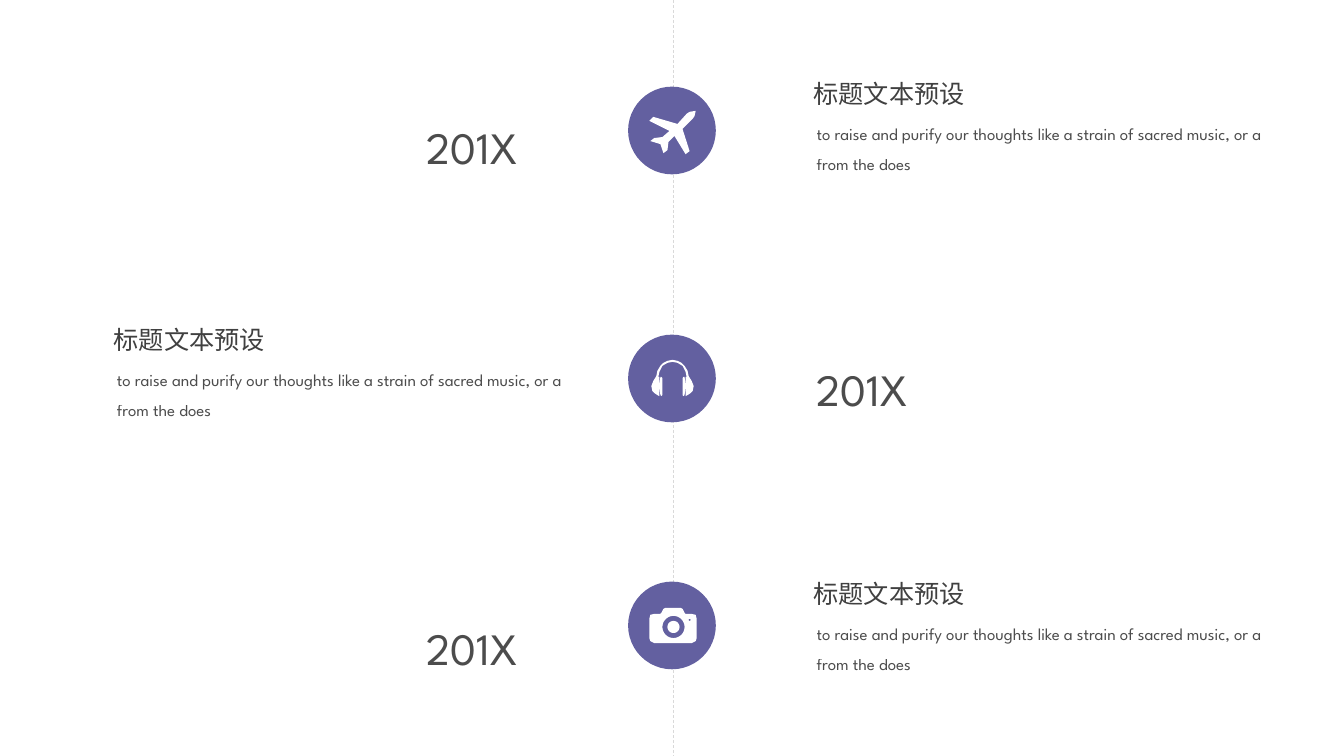
import math
import pptx
import pptx.util
import pptx.dml.color
import pptx.enum.dml
import pptx.enum.shapes
import pptx.enum.text
import pptx.oxml.ns
from lxml import etree

Inches = pptx.util.Inches
color = pptx.dml.color.RGBColor.from_string
Align = pptx.enum.text.PP_ALIGN
qn = pptx.oxml.ns.qn

presentation = pptx.Presentation()
presentation.slide_width = Inches(13.33)
presentation.slide_height = Inches(7.5)
slide = presentation.slides.add_slide(presentation.slide_layouts[6])


def circle_points(center_x, center_y, radius):
    angles = [math.tau * step / 32 for step in range(32)]
    return [(center_x + radius * math.cos(a), center_y + radius * math.sin(a)) for a in angles]


def add_text(text, left, top, width, height, size, hex_color, spacing=None, opacity=None):
    box = slide.shapes.add_textbox(Inches(left), Inches(top), Inches(width), Inches(height))
    frame = box.text_frame
    frame.word_wrap = True
    frame.auto_size = pptx.enum.text.MSO_AUTO_SIZE.SHAPE_TO_FIT_TEXT
    frame.text = text
    paragraph = frame.paragraphs[0]
    font = paragraph.runs[0].font
    font.name = "League Spartan"
    font.size = pptx.util.Pt(size)
    font.color.rgb = color(hex_color)
    if spacing:
        paragraph.line_spacing = spacing
        frame.margin_left = frame.margin_right = 0
    else:
        paragraph.alignment = Align.JUSTIFY
    if opacity:
        solid_color = paragraph.runs[0]._r.rPr.find(".//" + qn("a:srgbClr"))
        etree.SubElement(solid_color, qn("a:alpha")).set("val", str(opacity * 1000))


# Icon outlines, in inches on the slide
plane = [[
    (6.8, 1.53), (6.84, 1.5), (6.77, 1.28), (6.87, 1.18), (6.89, 1.15), (6.9, 1.1),
    (6.84, 1.11), (6.81, 1.13), (6.72, 1.23), (6.48, 1.16), (6.44, 1.2), (6.64, 1.3),
    (6.57, 1.36), (6.49, 1.37), (6.45, 1.4), (6.55, 1.43), (6.58, 1.52), (6.62, 1.49),
    (6.63, 1.41), (6.69, 1.35),
]]

# The headphones are symmetric about x = 6.67
right_half = [
    (6.67, 3.57), (6.72, 3.58), (6.76, 3.6), (6.79, 3.63), (6.82, 3.68), (6.83, 3.73),
    (6.86, 3.78), (6.88, 3.83), (6.87, 3.88), (6.85, 3.9), (6.82, 3.92), (6.8, 3.93),
    (6.8, 3.74), (6.81, 3.74), (6.8, 3.69), (6.77, 3.63), (6.72, 3.6), (6.67, 3.59),
]
right_pad = [(6.77, 3.75), (6.78, 3.74), (6.79, 3.74), (6.8, 3.83), (6.79, 3.92),
             (6.78, 3.93), (6.77, 3.92)]
left_half, left_pad = ([(13.34 - x, y) for x, y in half] for half in (right_half, right_pad))
headphones = [right_half + left_half[::-1], right_pad, left_pad]

camera_body = [
    (6.49, 6.09), (6.55, 6.09), (6.56, 6.08), (6.58, 6.04), (6.6, 6.03), (6.75, 6.03),
    (6.77, 6.04), (6.79, 6.08), (6.8, 6.09), (6.86, 6.09), (6.9, 6.1), (6.91, 6.14),
    (6.91, 6.33), (6.9, 6.36), (6.86, 6.38), (6.49, 6.38), (6.45, 6.36), (6.44, 6.33),
    (6.44, 6.14), (6.45, 6.1),
]
camera = [camera_body, circle_points(6.68, 6.22, 0.11), circle_points(6.68, 6.22, 0.06),
          circle_points(6.84, 6.15, 0.01)]

# Dashed time axis
axis = slide.shapes.add_connector(
    pptx.enum.shapes.MSO_CONNECTOR.STRAIGHT, Inches(6.68), 0, Inches(6.68), Inches(7.5))
axis.line.color.rgb = color("D9D9D9")
axis.line.width = pptx.util.Pt(0.5)
axis.line.dash_style = pptx.enum.dml.MSO_LINE.DASH
etree.SubElement(axis._element.spPr, qn("a:effectLst"))

# Milestones: circle top, icon, title left and top, year left and top
milestones = [
    (0.86, plane, 7.97, 0.73, 4.23, 0.6),
    (3.32, headphones, 1.03, 3.17, 8.1, 3.01),
    (5.77, camera, 7.97, 5.69, 4.23, 5.57),
]
for circle_top, icon_outlines, title_left, title_top, year_left, year_top in milestones:
    # Badge with icon
    badge = slide.shapes.add_group_shape()
    circle = badge.shapes.add_shape(
        pptx.enum.shapes.MSO_SHAPE.OVAL, Inches(6.23), Inches(circle_top), Inches(0.87), Inches(0.87))
    builder = None
    for outline in icon_outlines:
        points = [(Inches(x), Inches(y)) for x, y in outline]
        if builder is None:
            builder = badge.shapes.build_freeform(*points[0], scale=1.0)
        else:
            builder.move_to(*points[0])
        builder.add_line_segments(points[1:], close=True)
    icon = builder.convert_to_shape()
    for shape, hex_color in ((circle, "6360A0"), (icon, "FFFFFF")):
        shape.shadow.inherit = False
        shape.fill.solid()
        shape.fill.fore_color.rgb = color(hex_color)
        shape.line.fill.background()

    # Title, description and year
    add_text("标题文本预设", title_left, title_top, 1.83, 0.4, 18, "404040")
    add_text("to raise and purify our thoughts like a strain of sacred music, or a from the does",
             title_left + 0.13, title_top + 0.35, 4.65, 0.67, 12, "000000", 1.5, 70)
    add_text("201X", year_left, year_top, 1.78, 1.01, 32, "000000", 2.0, 70)

presentation.save("out.pptx")
